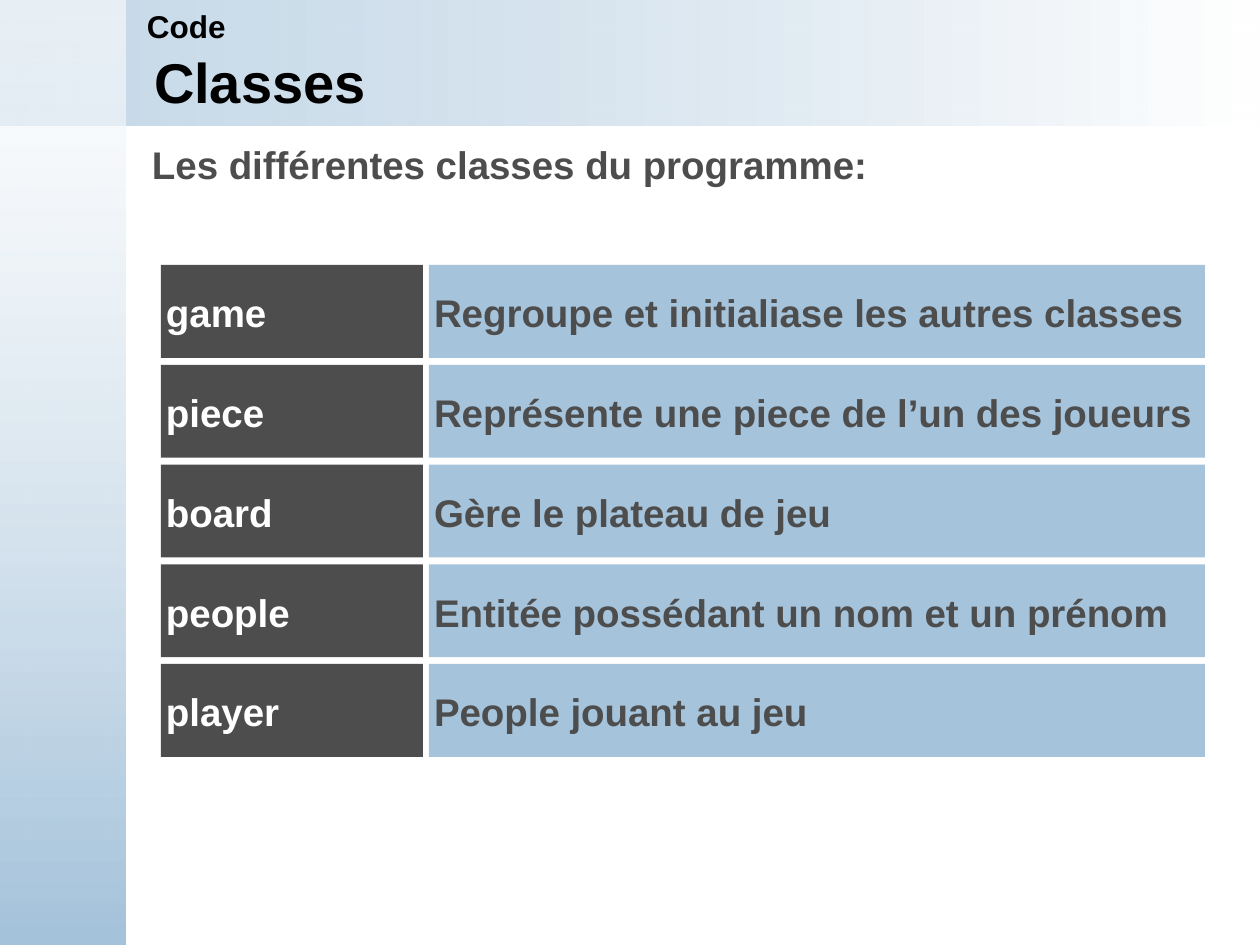
from lxml import etree
from pptx import Presentation
from pptx.dml.color import RGBColor
from pptx.enum.shapes import MSO_SHAPE
from pptx.enum.text import MSO_ANCHOR, PP_ALIGN
from pptx.oxml.ns import qn
from pptx.util import Pt

RECT = MSO_SHAPE.RECTANGLE
LEFT = PP_ALIGN.LEFT
TOP, MIDDLE = MSO_ANCHOR.TOP, MSO_ANCHOR.MIDDLE
PX = 914400 / 126
BLUE, GREY, WHITE, BLACK = "A5C3DB", "4D4D4D", "FFFFFF", "000000"
CLASSES = [
    ("game", "Regroupe et initialiase les autres classes"),
    ("piece", "Représente une piece de l’un des joueurs"),
    ("board", "Gère le plateau de jeu"),
    ("people", "Entitée possédant un nom et un prénom"),
    ("player", "People jouant au jeu"),
]


def emu(*lengths):
    return [round(n * PX) for n in lengths]


def color(value):
    return RGBColor.from_string(value)


def write(sp, text, size, ink, insets, anchor=TOP):
    tf = sp.text_frame
    tf.text = text
    tf.word_wrap = True
    tf.vertical_anchor = anchor
    tf.margin_left, tf.margin_top, tf.margin_right, tf.margin_bottom = emu(*insets)
    p = tf.paragraphs[0]
    p.alignment = LEFT
    font = p.runs[0].font
    font.name, font.size, font.bold = "Arial", Pt(size), True
    font.color.rgb = color(ink)


def add_rect(s, box):
    sp = s.shapes.add_shape(RECT, *emu(*box))
    sp.shadow.inherit = False
    sp.line.fill.background()
    return sp


def add_band(s, box, start, end, alpha, angle):
    sp = add_rect(s, box)
    sp.fill.gradient()
    sp.fill.gradient_angle = angle
    for stop, value in zip(sp.fill.gradient_stops, (start, end)):
        stop.color.rgb = color(value)
    first = next(sp.element.iter(qn("a:srgbClr")))
    etree.SubElement(first, qn("a:alpha")).set("val", str(alpha * 1000))


def add_label(s, box, text, size, ink, insets):
    sp = s.shapes.add_textbox(*emu(*box))
    write(sp, text, size, ink, insets)


def add_heading(s, title, box):
    x, y, w, h = box
    add_label(s, (x, y, w, 50), "Code", 18, BLACK, (13, 7, 13, 6))
    title.left, title.top, title.width, title.height = emu(x + 8, y + 45, w - 61, 72)
    write(title, "Classes", 32, BLACK, (12, 6, 12, 6), MIDDLE)


def add_class_grid(s, box):
    x, y, w, h = box
    name_w, row_h, gap = 262, 93, 6
    pitch = (h - row_h) / (len(CLASSES) - 1)
    columns = [
        (x, name_w, GREY, WHITE),
        (x + name_w + gap, w - name_w - gap, BLUE, GREY),
    ]
    for i, row in enumerate(CLASSES):
        for text, (left, width, fill, ink) in zip(row, columns):
            sp = add_rect(s, (left, y + i * pitch, width, row_h))
            sp.fill.solid()
            sp.fill.fore_color.rgb = color(fill)
            write(sp, text, 22, ink, (5, 2, 5, 0), MIDDLE)


def main():
    prs = Presentation()
    prs.slide_width, prs.slide_height = emu(1260, 945)
    s = prs.slides.add_slide(prs.slide_layouts[5])
    title = s.shapes.title
    add_band(s, (0, 0, 1260, 126), BLUE, WHITE, 62, 0)
    add_band(s, (0, 0, 126, 945), WHITE, BLUE, 59, 270)
    s.shapes._spTree.append(title.element)
    add_heading(s, title, (134, 0, 1126, 126))
    add_class_grid(s, (161, 265, 1044, 492))
    add_label(s, (147, 139, 1075, 44), "Les différentes classes du programme:",
              22, GREY, (5, 2, 5, 0))
    prs.save("out.pptx")


if __name__ == "__main__":
    main()
